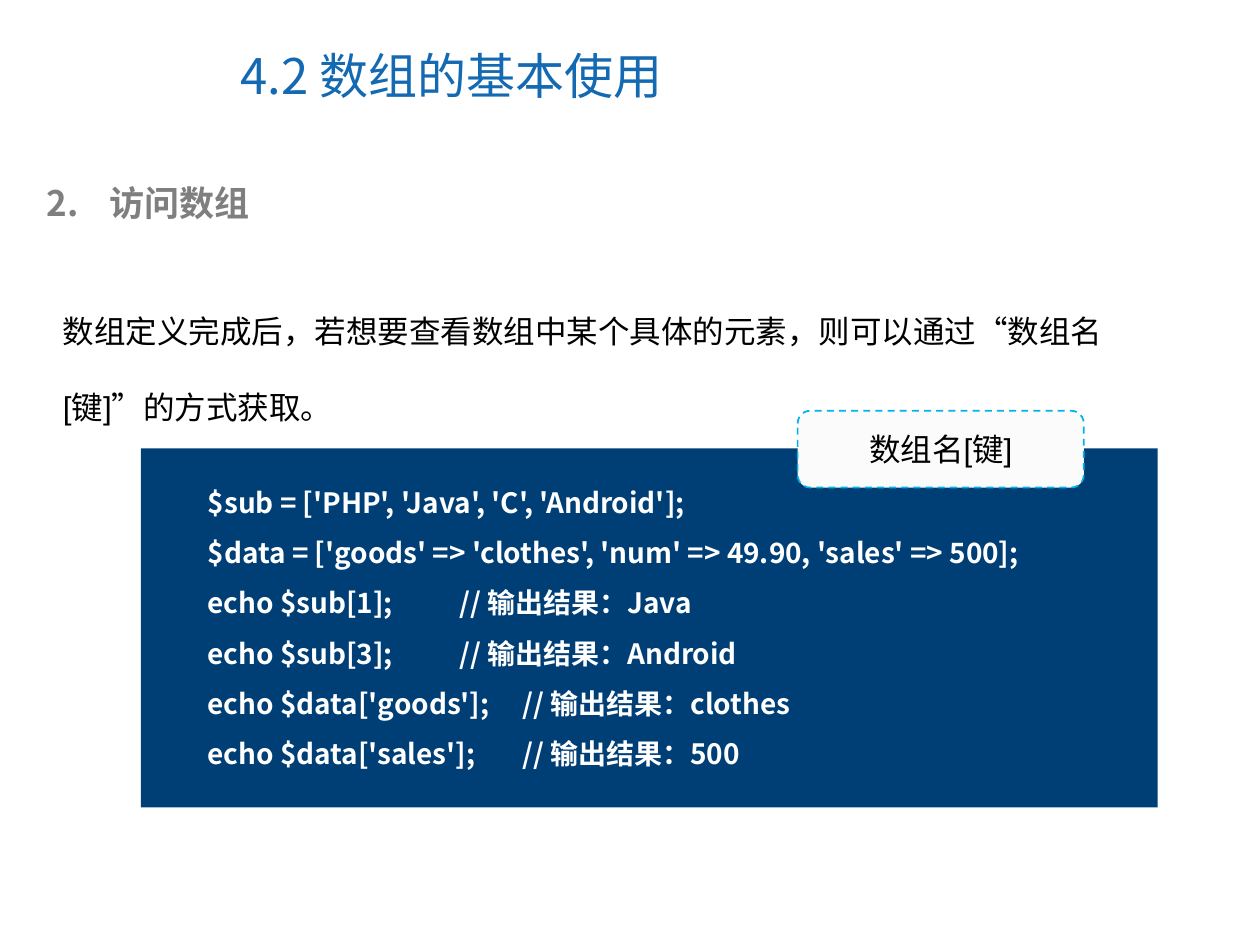
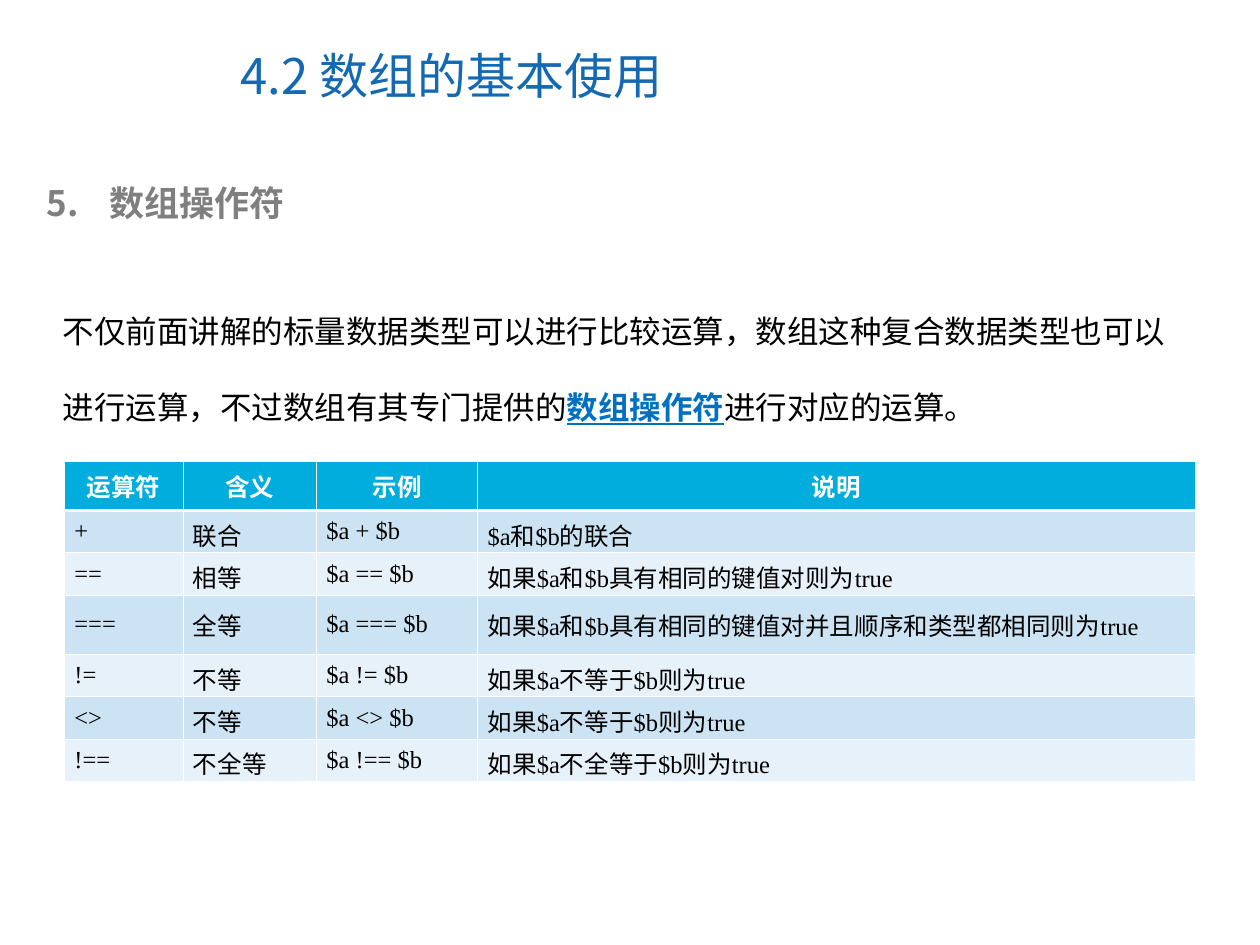
from lxml.etree import SubElement
from pptx import Presentation
from pptx.dml.color import RGBColor
from pptx.enum.dml import MSO_LINE
from pptx.enum.shapes import MSO_SHAPE
from pptx.enum.text import MSO_ANCHOR, MSO_AUTO_SIZE, PP_ALIGN
from pptx.oxml.ns import qn
from pptx.util import Cm, Pt

TITLE_BLUE = RGBColor(0x13, 0x69, 0xB2)
HEADING_GRAY = RGBColor(0x7F, 0x7F, 0x7F)
EMPHASIS_BLUE = RGBColor(0x00, 0x70, 0xC0)
CODE_NAVY = RGBColor(0x00, 0x3F, 0x75)
LABEL_FILL = RGBColor(0xFB, 0xFB, 0xFB)
LABEL_LINE = RGBColor(0x00, 0xB4, 0xE9)
HEADER_FILL = RGBColor(0x00, 0xAD, 0xDC)
ROW_FILLS = (RGBColor(0xE7, 0xF1, 0xF9), RGBColor(0xCB, 0xE3, 0xF2))
BLACK = RGBColor(0, 0, 0)
WHITE = RGBColor(0xFF, 0xFF, 0xFF)

CJK = "Noto Sans CJK SC"
BODY = "Arial"
TABLE = "Times New Roman"

CODE = [
    "$sub = ['PHP', 'Java', 'C', 'Android'];",
    "$data = ['goods' => 'clothes', 'num' => 49.90, 'sales' => 500];",
    "echo $sub[1];\t\t// 输出结果：Java",
    "echo $sub[3];\t\t// 输出结果：Android",
    "echo $data['goods'];\t// 输出结果：clothes",
    "echo $data['sales'];\t// 输出结果：500",
]
OPERATORS = [
    ("运算符", "含义", "示例", "说明"),
    ("+", "联合", "$a + $b", "$a和$b的联合"),
    ("==", "相等", "$a == $b", "如果$a和$b具有相同的键值对则为true"),
    ("===", "全等", "$a === $b", "如果$a和$b具有相同的键值对并且顺序和类型都相同则为true"),
    ("!=", "不等", "$a != $b", "如果$a不等于$b则为true"),
    ("<>", "不等", "$a <> $b", "如果$a不等于$b则为true"),
    ("!==", "不全等", "$a !== $b", "如果$a不全等于$b则为true"),
]
COL_WIDTHS = (2.39, 2.69, 3.25, 14.46)
ROW_HEIGHTS = (0.99, 0.79, 0.79, 1.19, 0.79, 0.79, 0.79)


def style_run(r, size, color, name=CJK, bold=False):
    r.font.name = name
    r.font.size = Pt(size)
    r.font.bold = bold
    r.font.color.rgb = color
    SubElement(r.font._element, qn("a:ea"), typeface=CJK)


def style_text(tf, size, color, name=CJK, bold=False, align=PP_ALIGN.LEFT, spacing=None):
    for p in tf.paragraphs:
        p.alignment = align
        p.line_spacing = spacing
        for r in p.runs:
            style_run(r, size, color, name, bold)


def add_text(s, left, top, width, height):
    tf = s.shapes.add_textbox(Cm(left), Cm(top), Cm(width), Cm(height)).text_frame
    tf.word_wrap = True
    return tf


def add_box(s, kind, left, top, width, height, fill):
    sp = s.shapes.add_shape(kind, Cm(left), Cm(top), Cm(width), Cm(height))
    sp.shadow.inherit = False
    sp.fill.solid()
    sp.fill.fore_color.rgb = fill
    sp.line.fill.background()
    return sp


def add_section_slide(prs, number, heading):
    """Add a slide with the chapter title and a numbered heading."""
    s = prs.slides.add_slide(prs.slide_layouts[5])
    title = s.shapes.title
    title.left, title.top, title.width, title.height = Cm(4.6), Cm(0.43), Cm(13.11), Cm(2.16)
    tf = title.text_frame
    tf.text = "4.2 数组的基本使用"
    tf.auto_size = MSO_AUTO_SIZE.NONE
    tf.vertical_anchor = MSO_ANCHOR.MIDDLE
    style_text(tf, 28, TITLE_BLUE)

    tf = add_text(s, 0.69, 3.53, 23.42, 1.12)
    tf.text = heading
    pPr = tf.paragraphs[0]._p.get_or_add_pPr()
    pPr.set("marL", str(Cm(1.27)))
    pPr.set("indent", str(-Cm(1.27)))
    SubElement(pPr, qn("a:buAutoNum"), type="arabicPeriod", startAt=str(number))
    style_text(tf, 20, HEADING_GRAY, bold=True)
    return s


def add_intro(s, before, emphasis="", after=""):
    """Add the body paragraph, with an optional underlined term in it."""
    tf = add_text(s, 1.02, 5.41, 23.34, 3.3)
    p = tf.paragraphs[0]
    p.line_spacing = 2.0
    for text in filter(None, (before, emphasis, after)):
        r = p.add_run()
        r.text = text
        strong = text == emphasis
        style_run(r, 18, EMPHASIS_BLUE if strong else BLACK, BODY, strong)
        r.font.underline = strong


def add_code(s, lines):
    add_box(s, MSO_SHAPE.RECTANGLE, 2.84, 9.04, 20.5, 7.24, CODE_NAVY)
    tf = add_text(s, 3.94, 9.32, 19.41, 6.35)
    tf.text = "\n".join(lines)
    style_text(tf, 16, WHITE, bold=True, spacing=1.5)


def add_label(s, text):
    sp = add_box(s, MSO_SHAPE.ROUNDED_RECTANGLE, 16.08, 8.28, 5.77, 1.55, LABEL_FILL)
    sp.line.color.rgb = LABEL_LINE
    sp.line.width = Pt(1)
    sp.line.dash_style = MSO_LINE.DASH
    tf = sp.text_frame
    tf.text = text
    tf.vertical_anchor = MSO_ANCHOR.MIDDLE
    style_text(tf, 18, BLACK, BODY, align=PP_ALIGN.CENTER)


def set_borders(cell, top, bottom):
    """Draw white cell borders; top and bottom are widths in points."""
    tcPr = cell._tc.get_or_add_tcPr()
    for i, (side, width) in enumerate((("L", 0.45), ("R", 0.45), ("T", top), ("B", bottom))):
        ln = tcPr.makeelement(qn(f"a:ln{side}"), {"w": str(Pt(width))})
        fill = SubElement(ln, qn("a:solidFill"))
        SubElement(fill, qn("a:srgbClr"), val=str(WHITE))
        tcPr.insert(i, ln)


def add_operator_table(s, rows):
    frame = s.shapes.add_table(len(rows), len(COL_WIDTHS), Cm(1.3), Cm(9.3),
                               Cm(sum(COL_WIDTHS)), Cm(sum(ROW_HEIGHTS)))
    table = frame.table
    for col, width in zip(table.columns, COL_WIDTHS):
        col.width = Cm(width)
    for i, (row, height, texts) in enumerate(zip(table.rows, ROW_HEIGHTS, rows)):
        row.height = Cm(height)
        for cell, text in zip(row.cells, texts):
            cell.text = text
            cell.vertical_anchor = MSO_ANCHOR.MIDDLE
            cell.margin_left = cell.margin_right = Cm(0.2)
            cell.margin_top = cell.margin_bottom = Cm(0.13)
            cell.fill.solid()
            cell.fill.fore_color.rgb = ROW_FILLS[i % 2] if i else HEADER_FILL
            set_borders(cell, 1.47 if i == 1 else 0.45, 0.45 if i else 1.47)
            if i:
                style_text(cell.text_frame, 14, BLACK, TABLE)
            else:
                style_text(cell.text_frame, 14, WHITE, bold=True, align=PP_ALIGN.CENTER)


def main():
    prs = Presentation()
    prs.slide_width, prs.slide_height = Cm(25.4), Cm(19.05)

    s = add_section_slide(prs, 2, "访问数组")
    add_intro(s, "数组定义完成后，若想要查看数组中某个具体的元素，则可以通过“数组名[键]”的方式获取。")
    add_code(s, CODE)
    add_label(s, "数组名[键]")

    s = add_section_slide(prs, 5, "数组操作符")
    add_intro(s, "不仅前面讲解的标量数据类型可以进行比较运算，数组这种复合数据类型也可以"
                 "进行运算，不过数组有其专门提供的", "数组操作符", "进行对应的运算。")
    add_operator_table(s, OPERATORS)

    prs.save("out.pptx")


if __name__ == "__main__":
    main()
